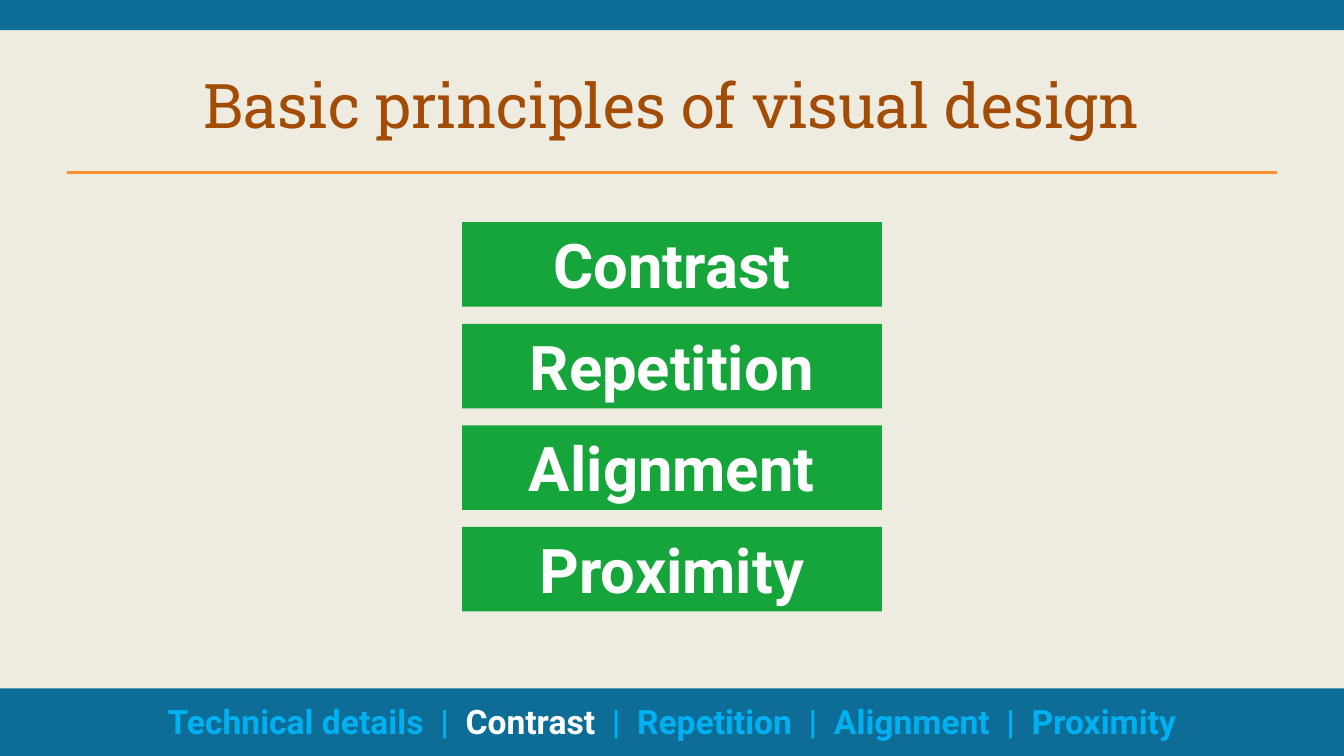
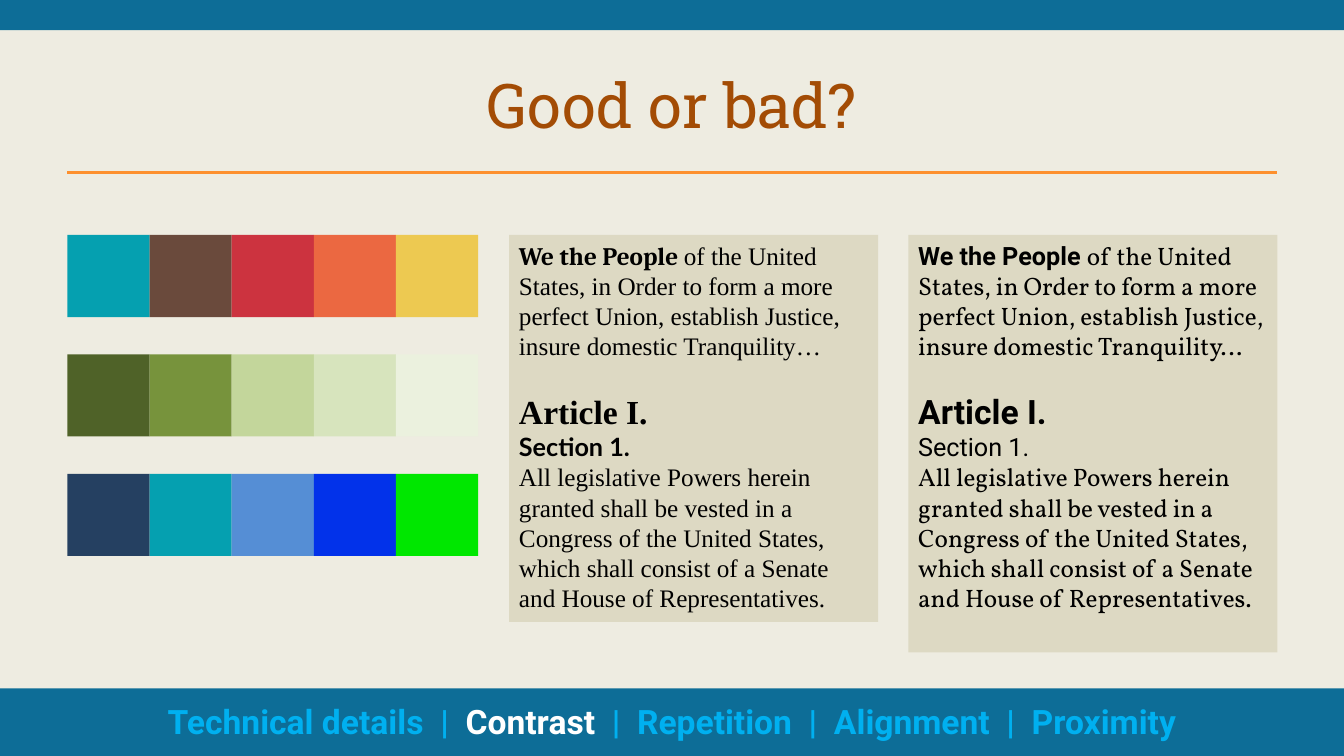
from pptx import Presentation
from pptx.dml.color import RGBColor as RGB
from pptx.enum.shapes import MSO_CONNECTOR as LINE, MSO_SHAPE as SHAPE
from pptx.enum.text import MSO_ANCHOR as ANCHOR, PP_ALIGN as ALIGN
from pptx.oxml.ns import qn
from pptx.util import Cm, Pt
from lxml.etree import SubElement

# Colours
CREAM = RGB(0xEE, 0xEC, 0xE1)
SAND = RGB(0xDD, 0xD9, 0xC3)
BLUE = RGB(0x0D, 0x6D, 0x97)
SKY = RGB(0x00, 0xB0, 0xF0)
ORANGE = RGB(0xFD, 0x90, 0x2E)
RUST = RGB(0xA3, 0x4C, 0x05)
GREEN = RGB(0x15, 0xA5, 0x3B)
WHITE = RGB(0xFF, 0xFF, 0xFF)
BLACK = RGB(0, 0, 0)

# Content
TITLES = ["Basic principles of visual design", "Good or bad?"]
RULES = ["Contrast", "Repetition", "Alignment", "Proximity"]
TOPICS = ["Technical details"] + RULES
ACTIVE = "Contrast"
SEP = "  |  "

PALETTES = [
    ["05A0B0", "6A4A3C", "CC333F", "EB6841", "EDC951"],
    ["4F6228", "77933C", "C3D69B", "D7E4BD", "EBF1DE"],
    ["254061", "05A0B0", "558ED5", "0232EA", "00E700"],
]

LEAD = "We the People "
INTRO = ("of the United States, in Order to form a more perfect Union, "
         "establish Justice, insure domestic Tranquility…")
HEAD, SUB = "Article I.", "Section 1."
BODY = ("All legislative Powers herein granted shall be vested in a Congress "
        "of the United States, which shall consist of a Senate and House of "
        "Representatives.")

# Sample panels: left and height in cm, then fonts by role
PANELS = [
    dict(left=12.83, high=9.75, lead="Cambria", text="Times New Roman",
         head="Times New Roman", sub="Lato", bold=True),
    dict(left=22.89, high=10.52, lead="Roboto", text="Vollkorn",
         head="Roboto", sub="Roboto", bold=False),
]

# Layout, in cm
WIDE, HIGH = 33.87, 19.05
EDGE = 1.7
INNER = WIDE - 2 * EDGE
TOP = 5.92


def add_run(para, text, font, size, color, bold=False):
    run = para.add_run()
    run.text = text
    run.font.name = font
    run.font.size = Pt(size)
    run.font.bold = bold
    run.font.color.rgb = color


def add_rect(slide, left, top, wide, high, color):
    rect = slide.shapes.add_shape(
        SHAPE.RECTANGLE, Cm(left), Cm(top), Cm(wide), Cm(high))
    rect.shadow.inherit = False
    rect.fill.solid()
    rect.fill.fore_color.rgb = color
    rect.line.fill.background()
    frame = rect.text_frame
    frame.word_wrap = True
    frame.vertical_anchor = ANCHOR.TOP
    return rect


def set_frame(prs, slide):
    """Give the master and the layout their background, bands and rule."""
    layout = slide.slide_layout
    fill = prs.slide_master.background.fill
    fill.solid()
    fill.fore_color.rgb = CREAM

    title = layout.placeholders[0]
    title.left, title.top = Cm(EDGE), Cm(1.27)
    title.width, title.height = Cm(INNER), Cm(2.67)

    foot = add_rect(slide, 0, 17.35, WIDE, 1.7, BLUE)
    band = add_rect(slide, 0, 0, WIDE, 0.76, BLUE)
    rule = slide.shapes.add_connector(
        LINE.STRAIGHT, Cm(EDGE), Cm(4.34), Cm(EDGE + INNER), Cm(4.34))
    rule.line.color.rgb = ORANGE
    rule.line.width = Pt(2)
    SubElement(rule.element.spPr, qn("a:effectLst"))
    for part in (foot, band, rule):
        layout.shapes.element.append(part.element)


def add_title(slide, text):
    para = slide.shapes.title.text_frame.paragraphs[0]
    para.alignment = ALIGN.CENTER
    add_run(para, text, "Roboto Slab", 44, RUST)


def add_footer(slide):
    box = slide.shapes.add_textbox(0, Cm(17.53), Cm(WIDE), Cm(1.27))
    box.text_frame.word_wrap = True
    para = box.text_frame.paragraphs[0]
    para.alignment = ALIGN.CENTER
    for i, topic in enumerate(TOPICS):
        if i:
            add_run(para, SEP, "Roboto", 24, SKY, True)
        color = WHITE if topic == ACTIVE else SKY
        add_run(para, topic, "Roboto", 24, color, True)


def add_rules(slide):
    wide, high, step = 10.58, 2.13, 2.56
    for i, name in enumerate(RULES):
        rect = add_rect(slide, (WIDE - wide) / 2, 5.6 + i * step,
                        wide, high, GREEN)
        para = rect.text_frame.paragraphs[0]
        para.alignment = ALIGN.CENTER
        add_run(para, name, "Roboto", 44, WHITE, True)


def add_swatches(slide):
    side, step = 2.07, 3.01
    for row, colors in enumerate(PALETTES):
        for col, code in enumerate(colors):
            add_rect(slide, EDGE + col * side, TOP + row * step,
                     side, side, RGB.from_string(code))


def add_panel(slide, panel):
    text = panel["text"]
    # Each paragraph: size, then runs of text, font and weight
    paras = [
        (18, [(LEAD, panel["lead"], True), (INTRO, text, False)]),
        (24, [(HEAD, panel["head"], True)]),
        (18, [(SUB, panel["sub"], panel["bold"])]),
        (18, [(BODY, text, False)]),
    ]
    rect = add_rect(slide, panel["left"], TOP, 9.3, panel["high"], SAND)
    frame = rect.text_frame
    for i, (size, runs) in enumerate(paras):
        para = frame.add_paragraph() if i else frame.paragraphs[0]
        para.alignment = ALIGN.LEFT
        para.line_spacing = Pt(size * 1.2)
        if size == 24:
            para.space_before = Pt(21.6)
        for words, font, bold in runs:
            add_run(para, words, font, size, BLACK, bold)


def main():
    prs = Presentation()
    prs.slide_width, prs.slide_height = Cm(WIDE), Cm(HIGH)
    layout = prs.slide_layouts[5]
    first, second = [prs.slides.add_slide(layout) for _ in TITLES]
    set_frame(prs, first)

    # Slide bodies
    add_rules(first)
    add_swatches(second)
    for panel in PANELS:
        add_panel(second, panel)

    # Titles and footers
    for slide, title in zip((first, second), TITLES):
        add_title(slide, title)
        add_footer(slide)
    prs.save("out.pptx")


if __name__ == "__main__":
    main()
